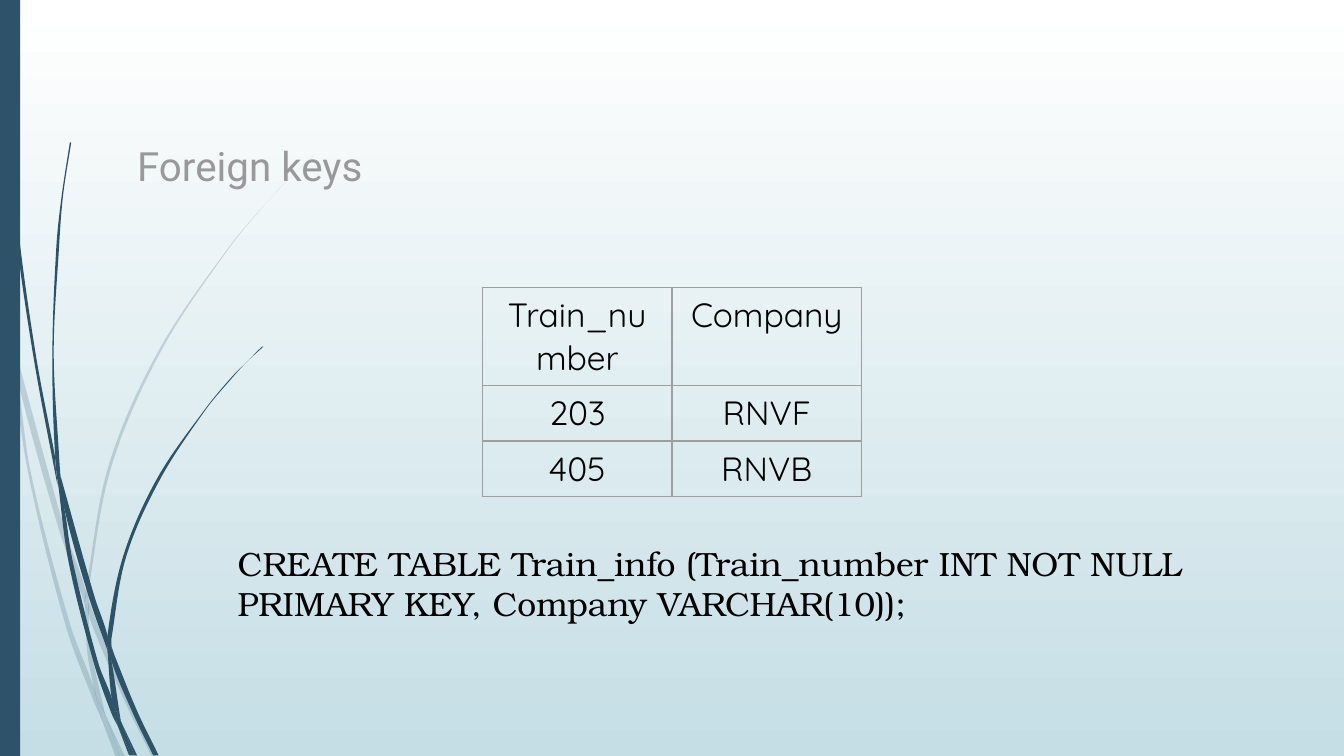
from dataclasses import dataclass

from lxml.etree import Element, SubElement
from pptx import Presentation
from pptx.dml.color import RGBColor
from pptx.enum.shapes import MSO_SHAPE
from pptx.enum.text import MSO_ANCHOR, MSO_AUTO_SIZE, PP_ALIGN
from pptx.oxml.ns import qn
from pptx.slide import Slide
from pptx.table import _Cell
from pptx.text.text import TextFrame
from pptx.util import Inches, Pt


@dataclass(frozen=True)
class Theme:
    accent: str = "2E5369"
    sky: tuple = ("FFFFFF", "C5DEE5")
    title: str = "999999"
    text: str = "000000"
    border: str = "9E9E9E"
    title_font: str = "Roboto"
    table_font: str = "Quicksand"
    code_font: str = "TeX Gyre Bonum"
    title_size: float = 21.6
    body_size: float = 18


@dataclass(frozen=True)
class Wisp:
    """A tuft of grass blades, each a closed outline in inches."""
    opacity: int
    blades: tuple


THEME = Theme()
WIDTH = 10
HEIGHT = WIDTH * 9 / 16
TRAINS = (("Train_number", "Company"), ("203", "RNVF"), ("405", "RNVB"))

PALE_WISP = Wisp(20, (
    ((0.08, 2.63), (0.06, 2.41), (0, 2.11), (0, 2.24), (0.08, 2.58)),
    ((0.43, 3.91), (0.63, 4.49), (0.64, 4.4), (0.47, 3.9), (0.11, 2.59), (0.13, 2.82)),
    ((0.69, 4.55), (0.66, 4.47), (0.66, 4.58), (0.92, 5.2), (1.13, 5.63), (1.16, 5.63), (0.95, 5.19)),
    ((0.89, 5.63), (0.93, 5.63), (0.79, 5.33)),
    ((0.7, 5.12), (0.52, 4.64), (0.23, 3.52), (0.13, 2.82), (0.08, 2.63), (0.21, 3.52), (0.49, 4.66),
     (0.69, 5.2), (0.76, 5.36), (0.74, 5.3)),
    ((0.63, 4.49), (0.65, 4.85), (0.7, 5.12), (0.72, 5.19), (0.79, 5.33), (0.78, 5.3), (0.68, 4.84),
     (0.66, 4.58), (0.66, 4.56)),
    ((0.66, 4.38), (0.83, 3.47), (1.2, 2.61), (1.71, 1.84), (2.01, 1.48), (2.17, 1.31), (2.34, 1.15),
     (2.17, 1.31), (2.01, 1.48), (1.71, 1.83), (1.18, 2.61), (0.81, 3.46), (0.64, 4.38), (0.64, 4.4),
     (0.66, 4.47)),
    ((0.76, 5.36), (0.86, 5.63), (0.89, 5.63)),
    ((0.66, 4.56), (0.66, 4.58), (0.66, 4.47), (0.64, 4.4), (0.63, 4.49)),
    ((0.72, 5.19), (0.7, 5.12), (0.74, 5.3), (0.76, 5.36), (0.89, 5.63), (0.79, 5.33)),
))

DARK_WISP = Wisp(100, (
    ((0.05, 0.82), (0.12, 1.75), (0.25, 2.66), (0.42, 3.57), (0.43, 3.61), (0.41, 3.43), (0.41, 3.4),
     (0.27, 2.66), (0.14, 1.74), (0.06, 0.82), (0.03, 0.36), (0.03, 0), (0.02, 0), (0.03, 0.36)),
    ((0.66, 4.44), (0.8, 4.84), (0.8, 4.73), (0.7, 4.43), (0.45, 3.54), (0.48, 3.79)),
    ((0.85, 4.87), (0.83, 4.81), (0.83, 4.92), (0.99, 5.31), (1.14, 5.62), (1.18, 5.62), (1.02, 5.29)),
    ((0.83, 5.19), (0.73, 4.93), (0.54, 4.17), (0.48, 3.79), (0.43, 3.58), (0.51, 4.18), (0.7, 4.94),
     (0.83, 5.31), (0.88, 5.41), (0.87, 5.38)),
    ((0.45, 3.54), (0.44, 3.4), (0.4, 2.62), (0.44, 1.83), (0.47, 1.45), (0.53, 1.06), (0.52, 1.06),
     (0.46, 1.45), (0.42, 1.83), (0.39, 2.62), (0.41, 3.37)),
    ((1, 5.62), (1.02, 5.62), (0.91, 5.39)),
    ((0.43, 3.58), (0.48, 3.79), (0.45, 3.54), (0.41, 3.37), (0.41, 3.4)),
    ((0.83, 4.75), (0.94, 4.14), (1.19, 3.57), (1.53, 3.05), (1.73, 2.81), (1.84, 2.69), (1.96, 2.58),
     (1.95, 2.58), (1.84, 2.69), (1.73, 2.8), (1.53, 3.04), (1.17, 3.56), (0.92, 4.13), (0.8, 4.73),
     (0.83, 4.81)),
    ((0.88, 5.41), (0.96, 5.62), (0.98, 5.62)),
    ((0.8, 4.84), (0.83, 5.19), (0.87, 5.3), (0.91, 5.39), (0.9, 5.37), (0.83, 4.92), (0.81, 4.88)),
    ((0.8, 4.84), (0.81, 4.88), (0.83, 4.92), (0.83, 4.81), (0.8, 4.73), (0.8, 4.75)),
    ((0.87, 5.3), (0.83, 5.19), (0.87, 5.38), (0.88, 5.41), (0.98, 5.62), (1, 5.62), (0.91, 5.39)),
))


def rgb(color: str) -> RGBColor:
    return RGBColor.from_string(color)


def paint(sp, color: str, opacity: int = 100) -> None:
    sp.shadow.inherit = False
    sp.line.fill.background()
    sp.fill.solid()
    sp.fill.fore_color.rgb = rgb(color)
    if opacity < 100:
        clr = sp._element.spPr.find(qn("a:solidFill"))[0]
        SubElement(clr, qn("a:alpha"), val=str(opacity * 1000))


def write(tf: TextFrame, text: str, *, font: str, size: float, color: str, align=PP_ALIGN.LEFT) -> None:
    p = tf.paragraphs[0]
    p.alignment = align
    r = p.add_run()
    r.text = text
    r.font.name, r.font.size = font, Pt(size)
    r.font.color.rgb = rgb(color)


def draw_background(slide: Slide) -> None:
    fill = slide.background.fill
    fill.gradient()
    fill.gradient_angle = 270
    for position, (stop, color) in enumerate(zip(fill.gradient_stops, THEME.sky)):
        stop.color.rgb, stop.position = rgb(color), position


def smooth(sp) -> None:
    """Turn the sides of a closed outline into curves that stay sharp at corners."""
    sides = list(sp._element.iter(qn("a:lnTo")))
    ends = [complex(int(side[0].get("x")), int(side[0].get("y"))) for side in sides]
    chords = [end - ends[i - 1] for i, end in enumerate(ends)]

    def slope(i: int, chord: complex) -> complex:
        before, after = chords[i], chords[(i + 1) % len(chords)]
        is_corner = (before * after.conjugate()).real < 0.7 * abs(before) * abs(after)
        tangent = chord if is_corner else before + after
        return tangent / abs(tangent) * abs(chord) / 3

    for i, (side, chord) in enumerate(zip(sides, chords)):
        side.tag = qn("a:cubicBezTo")
        controls = ends[i - 1] + slope(i - 1, chord), ends[i] - slope(i, chord)
        for k, c in enumerate(controls):
            side.insert(k, Element(qn("a:pt"), x=str(round(c.real)), y=str(round(c.imag))))


def draw_wisp(slide: Slide, wisp: Wisp) -> None:
    group = slide.shapes.add_group_shape()
    for blade in wisp.blades:
        start, *rest = [(Inches(x), Inches(y)) for x, y in blade]
        builder = group.shapes.build_freeform(*start)
        builder.add_line_segments([*rest, start], close=True)
        sp = builder.convert_to_shape()
        smooth(sp)
        paint(sp, THEME.accent, wisp.opacity)


def draw_title(slide: Slide, text: str) -> None:
    sp = slide.shapes.title
    slide.shapes._spTree.append(sp._element)  # in front of the grass
    sp.left, sp.top, sp.width, sp.height = map(Inches, (0.92, 0.98, 5.82, 0.53))
    tf = sp.text_frame
    tf.word_wrap, tf.auto_size = True, MSO_AUTO_SIZE.NONE
    tf.vertical_anchor = MSO_ANCHOR.BOTTOM
    tf.margin_left = tf.margin_right = tf.margin_top = tf.margin_bottom = Inches(0.1)
    write(tf, text, font=THEME.title_font, size=THEME.title_size, color=THEME.title)


def outline_cell(cell: _Cell) -> None:
    tc_pr = cell._tc.get_or_add_tcPr()
    for i, side in enumerate(("lnL", "lnR", "lnT", "lnB")):
        ln = SubElement(tc_pr, qn(f"a:{side}"), w=str(Pt(0.75)))
        SubElement(SubElement(ln, qn("a:solidFill")), qn("a:srgbClr"), val=THEME.border)
        tc_pr.insert(i, ln)


def draw_table(slide: Slide, rows: tuple) -> None:
    n, m = len(rows), len(rows[0])
    frame = slide.shapes.add_table(n, m, *map(Inches, (3.59, 2.14, 1.41 * m, 0.41 * n)))
    table = frame.table
    table.first_row = table.horz_banding = False
    for cell, text in zip(table.iter_cells(), sum(rows, ())):
        cell.fill.background()
        outline_cell(cell)
        write(cell.text_frame, text, font=THEME.table_font, size=THEME.body_size,
              color=THEME.text, align=PP_ALIGN.CENTER)


def draw_statement(slide: Slide, text: str) -> None:
    tf = slide.shapes.add_textbox(*map(Inches, (1.67, 3.99, 7.72, 1.01))).text_frame
    tf.word_wrap = True
    write(tf, text, font=THEME.code_font, size=THEME.body_size, color=THEME.text)


def main() -> None:
    prs = Presentation()
    prs.slide_width, prs.slide_height = Inches(WIDTH), Inches(HEIGHT)
    slide = prs.slides.add_slide(prs.slide_layouts[5])
    draw_background(slide)
    for wisp in (PALE_WISP, DARK_WISP):
        draw_wisp(slide, wisp)
    paint(slide.shapes.add_shape(MSO_SHAPE.RECTANGLE, 0, 0, Inches(0.15), prs.slide_height), THEME.accent)
    draw_title(slide, "Foreign keys")
    draw_table(slide, TRAINS)
    draw_statement(slide, "CREATE TABLE Train_info (Train_number INT NOT NULL PRIMARY KEY, Company VARCHAR(10));")
    prs.save("out.pptx")


if __name__ == "__main__":
    main()
